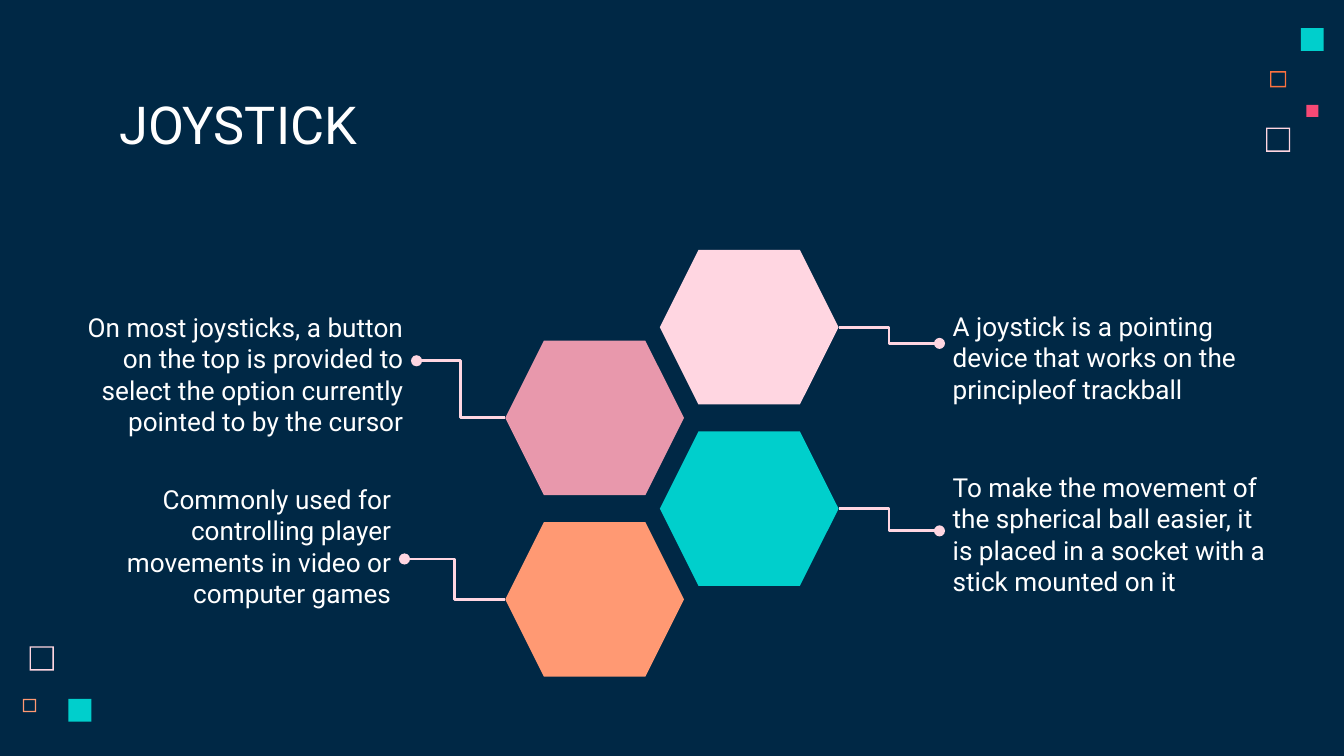
"""Build the joystick slide: four hexagons, each with an elbow line to its note."""
from typing import NamedTuple

import pptx
import pptx.dml.color
import pptx.enum.shapes
import pptx.enum.text
import pptx.oxml
import pptx.oxml.ns
import pptx.util

Inches = pptx.util.Inches
SHAPES = pptx.enum.shapes.MSO_SHAPE
ALIGN = pptx.enum.text.PP_ALIGN
ANCHOR = pptx.enum.text.MSO_ANCHOR

NAVY, WHITE, BLUSH, ROSE = "002845", "FFFFFF", "FFD6E1", "E898AC"
TEAL, PEACH, ORANGE, PINK = "00CFCC", "FF9973", "FC723F", "F64975"
HEX_W, HEX_H = 1.33, 1.15
LEFT_COLUMN, RIGHT_COLUMN = 3.76, 4.91
FIRST_ROW, ROW_STEP = 1.86, 1.35 / 2
FRAME_THICKNESS = 0.01


class Square(NamedTuple):
    left: float
    top: float
    size: float
    color: str
    hollow: bool


class Box(NamedTuple):
    left: float
    top: float
    width: float
    height: float


class Topic(NamedTuple):
    color: str
    on_right: bool
    note_box: Box
    note: str


SQUARES = [
    Square(9.42, 0.95, 0.18, BLUSH, True),
    Square(9.45, 0.53, 0.12, ORANGE, True),
    Square(9.68, 0.21, 0.17, TEAL, False),
    Square(0.17, 5.2, 0.1, PEACH, True),
    Square(9.72, 0.78, 0.09, PINK, False),
    Square(0.22, 4.81, 0.18, BLUSH, True),
    Square(0.51, 5.2, 0.17, TEAL, False),
]

TOPICS = [
    Topic(BLUSH, True, Box(6.99, 2, 2.6, 1.11),
          "A joystick is a pointing device that works on the principleof trackball"),
    Topic(ROSE, False, Box(0.42, 2.02, 2.68, 1.33),
          "On most joysticks, a button on the top is provided to select "
          "the option currently pointed to by the cursor"),
    Topic(TEAL, True, Box(6.99, 3.36, 2.6, 1.18),
          "To make the movement of the spherical ball easier, it is placed "
          "in a socket with a stick mounted on it"),
    Topic(PEACH, False, Box(0.41, 3.69, 2.6, 0.94),
          "Commonly used for controlling player movements in video or computer games"),
]


def paint(fill, color: str) -> None:
    fill.solid()
    fill.fore_color.rgb = pptx.dml.color.RGBColor.from_string(color)


def add_solid(slide, kind, box: Box, color: str):
    solid = slide.shapes.add_shape(kind, *map(Inches, box))
    solid.shadow.inherit = False
    paint(solid.fill, color)
    solid.line.fill.background()
    return solid


def add_square(slide, square: Square) -> None:
    box = Box(square.left, square.top, square.size, square.size)
    kind = SHAPES.FRAME if square.hollow else SHAPES.RECTANGLE
    mark = add_solid(slide, kind, box, square.color)
    if square.hollow:
        mark.adjustments[0] = FRAME_THICKNESS / square.size


def add_text(slide, box: Box, text: str, size: int, align, anchor) -> None:
    frame = slide.shapes.add_textbox(*map(Inches, box)).text_frame
    frame.word_wrap = True
    frame.vertical_anchor = anchor
    frame.margin_left = frame.margin_right = Inches(0.1)
    frame.margin_top = frame.margin_bottom = Inches(0.1)
    paragraph = frame.paragraphs[0]
    paragraph.text = text
    paragraph.alignment = align
    paragraph.font.name = "Roboto"
    paragraph.font.size = pptx.util.Pt(size)
    paint(paragraph.font.fill, WHITE)


def add_leader(slide, start: tuple[float, float], end: tuple[float, float]) -> None:
    leader = slide.shapes.add_connector(
        pptx.enum.shapes.MSO_CONNECTOR.ELBOW, *map(Inches, start + end))
    paint(leader.line.fill, BLUSH)
    leader.line.width = pptx.util.Pt(1.5)
    properties = leader._element.spPr
    dot = pptx.oxml.parse_xml(f'<a:tailEnd {pptx.oxml.ns.nsdecls("a")} type="oval"/>')
    properties.find(pptx.oxml.ns.qn("a:ln")).append(dot)
    properties.append(pptx.oxml.parse_xml(f'<a:effectLst {pptx.oxml.ns.nsdecls("a")}/>'))


def add_topic(slide, row: int, topic: Topic) -> None:
    box = topic.note_box
    left = RIGHT_COLUMN if topic.on_right else LEFT_COLUMN
    top = FIRST_ROW + row * ROW_STEP
    hexagon = add_solid(slide, SHAPES.HEXAGON, Box(left, top, HEX_W, HEX_H), topic.color)
    hexagon.adjustments[0] = 0.25
    align = ALIGN.LEFT if topic.on_right else ALIGN.RIGHT
    add_text(slide, box, topic.note, 14, align, ANCHOR.BOTTOM)
    corner_x = left + HEX_W if topic.on_right else left
    note_x = box.left if topic.on_right else box.left + box.width
    add_leader(slide, (corner_x, top + HEX_H / 2), (note_x, box.top + box.height / 2))


def main() -> None:
    deck = pptx.Presentation()
    deck.slide_width = Inches(10)
    deck.slide_height = deck.slide_width * 9 // 16
    slide = deck.slides.add_slide(deck.slide_layouts[6])
    paint(slide.background.fill, NAVY)
    for square in SQUARES:
        add_square(slide, square)
    add_text(slide, Box(0.79, 0.59, 8.43, 0.63), "JOYSTICK", 28, ALIGN.LEFT, ANCHOR.TOP)
    for row, topic in enumerate(TOPICS):
        add_topic(slide, row, topic)
    deck.save("out.pptx")


if __name__ == "__main__":
    main()
